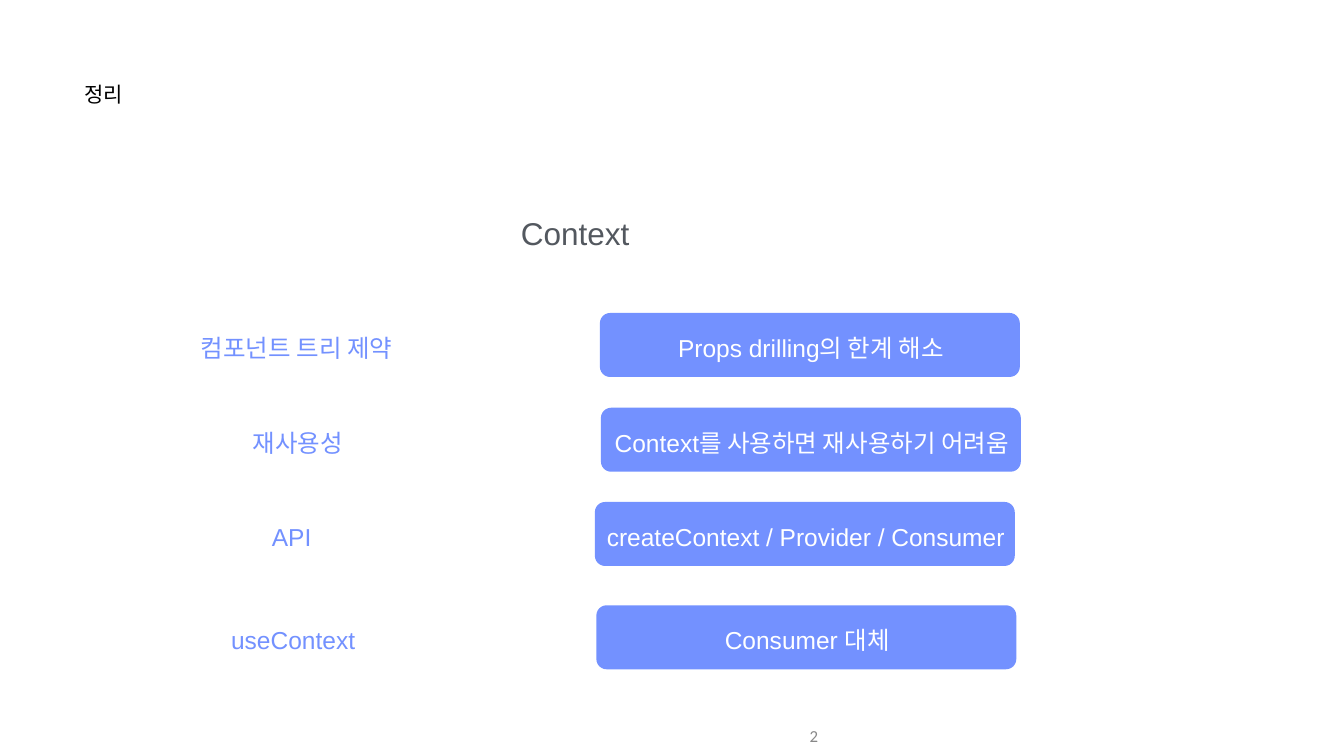
from pptx import Presentation
from pptx.dml.color import RGBColor
from pptx.enum import shapes, text
from pptx.util import Inches, Pt

BLUE, WHITE, BLACK, SLATE, GRAY = "7391FF", "FFFFFF", "000000", "53585F", "888888"
LABEL_W, CARD_W, CARD_H = 6.25, 8.33, 1.27
CARD_DX = 9.16
TEXT_DX, TEXT_DY, TEXT_H = 0.02, 0.38, 0.62

ROWS = [  # left, top, label, runs of the card
    (2.74, 6.21, "컴포넌트 트리 제약", ["Props drilling의 한계 해소"]),
    (2.76, 8.09, "재사용성", ["Context를 사용하면 재사용하기 어려움"]),
    (2.64, 9.96, "API", ["createContext / Provider / Consumer"]),
    (2.67, 12.01, "useContext", ["Consumer 대체"]),
]


def color(hex_string):
    return RGBColor.from_string(hex_string)


def write(sp, runs, size, hex_color, align, anchor, font="Arial", margins=(0.01, 0.01)):
    """Fill a shape with one formatted paragraph."""
    tf = sp.text_frame
    tf.word_wrap = True
    tf.auto_size = text.MSO_AUTO_SIZE.NONE
    tf.vertical_anchor = anchor
    tf.margin_left = tf.margin_right = Inches(margins[0])
    tf.margin_top = tf.margin_bottom = Inches(margins[1])
    p = tf.paragraphs[0]
    p.alignment = align
    for run_text in runs:
        r = p.add_run()
        r.text = run_text
        r.font.name = font
        r.font.size = Pt(size)
        r.font.color.rgb = color(hex_color)


def add_text(s, box, runs, size, hex_color, align=text.PP_ALIGN.CENTER,
             anchor=text.MSO_ANCHOR.MIDDLE, **style):
    sp = s.shapes.add_textbox(*map(Inches, box))
    write(sp, runs, size, hex_color, align, anchor, **style)


def set_title(s, box, title):
    sp = s.shapes.title
    sp.left, sp.top, sp.width, sp.height = map(Inches, box)
    write(sp, [title], 30, BLACK, text.PP_ALIGN.LEFT, text.MSO_ANCHOR.TOP)


def add_row(s, left, top, label, runs):
    """Place a label and, to its right, a rounded card."""
    card_left = left + CARD_DX
    card = s.shapes.add_shape(shapes.MSO_SHAPE.ROUNDED_RECTANGLE, Inches(card_left),
                              Inches(top), Inches(CARD_W), Inches(CARD_H))
    card.adjustments[0] = 0.16
    card.shadow.inherit = False
    card.fill.solid()
    card.fill.fore_color.rgb = color(BLUE)
    card.line.fill.background()
    text_top = top + TEXT_DY
    add_text(s, (left + TEXT_DX, text_top, LABEL_W, TEXT_H), [label], 35, BLUE)
    add_text(s, (card_left + TEXT_DX, text_top, CARD_W, TEXT_H), runs, 35, WHITE)


def main():
    prs = Presentation()
    prs.slide_width, prs.slide_height = Inches(26.66), Inches(15)
    s = prs.slides.add_slide(prs.slide_layouts[5])
    set_title(s, (1.67, 1.6, 4.86, 1.18), "정리")
    add_text(s, (2.64, 4.24, 17.54, 0.79), ["Context"], 45, SLATE,
             anchor=text.MSO_ANCHOR.TOP)
    for row in ROWS:
        add_row(s, *row)
    add_text(s, (10.33, 14.21, 6, 0.79), ["2"], 24, GRAY, text.PP_ALIGN.RIGHT,
             font="Calibri", margins=(0.1, 0.05))
    prs.save("out.pptx")


if __name__ == "__main__":
    main()
